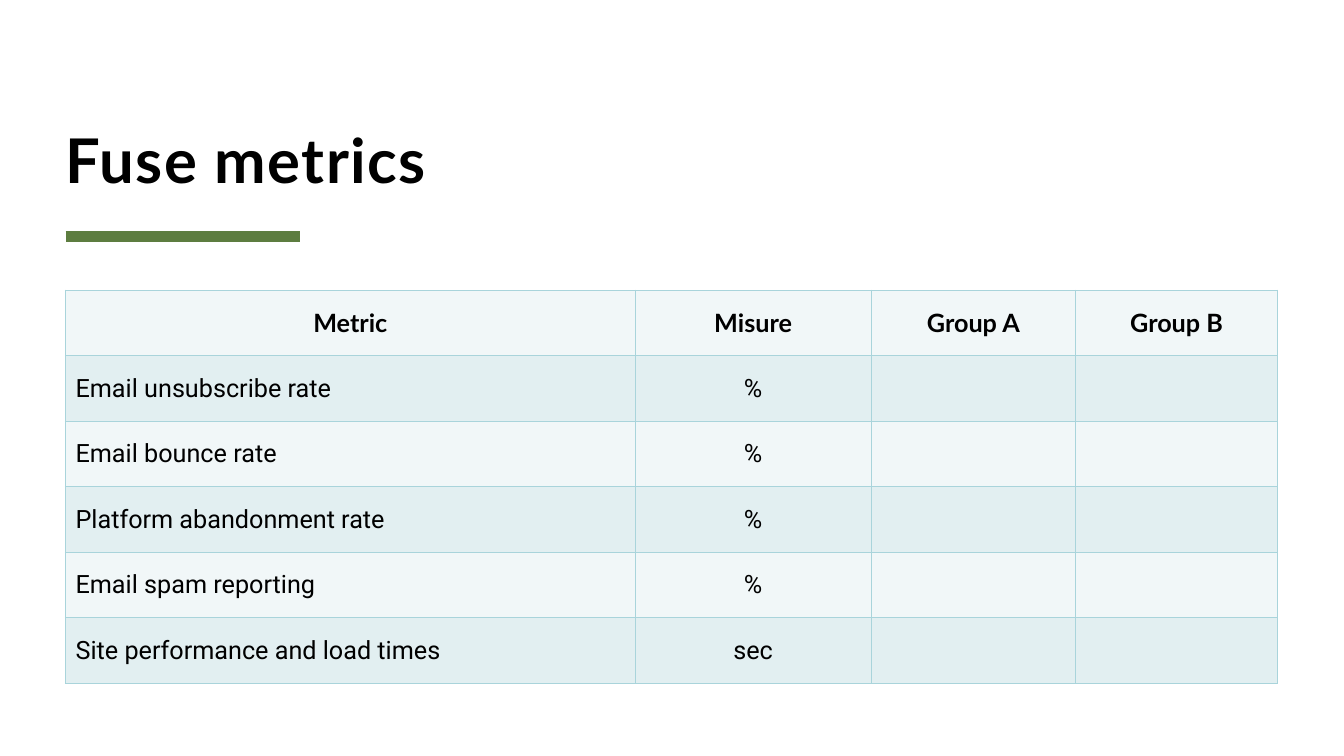
import dataclasses
import typing

import lxml.etree
import pptx
import pptx.dml.color
import pptx.enum.shapes
import pptx.enum.text
import pptx.oxml.ns
import pptx.util

Inches = pptx.util.Inches
Pt = pptx.util.Pt
Align = pptx.enum.text.PP_ALIGN
Anchor = pptx.enum.text.MSO_ANCHOR

HUES = {
    "text": "000000",
    "rule": "5D7D40",
    "edge": "A9D4DB",
    "light": "F1F7F8",
    "dark": "E2EFF1",
}
LEFT = 0.65
ROW = 0.65


@dataclasses.dataclass
class Column:
    head: str
    width: float
    align: Align
    cells: tuple[str, ...]


COLUMNS = [
    Column("Metric", 5.65, Align.LEFT, (
        "Email unsubscribe rate",
        "Email bounce rate",
        "Platform abandonment rate",
        "Email spam reporting",
        "Site performance and load times",
    )),
    Column("Misure", 2.34, Align.CENTER, ("%", "%", "%", "%", "sec")),
    Column("Group A", 2.03, Align.CENTER, ("",) * 5),
    Column("Group B", 2, Align.CENTER, ("",) * 5),
]


def color(name: str) -> pptx.dml.color.RGBColor:
    return pptx.dml.color.RGBColor.from_string(HUES[name])


def add(parent: typing.Any, tag: str, **attrs: str) -> typing.Any:
    return lxml.etree.SubElement(parent, pptx.oxml.ns.qn(tag), attrs)


def write(frame: typing.Any, text: str, *, size: float, face: str,
          bold: bool = False, align: Align = Align.LEFT,
          lines: float = 1, space: float = 0) -> None:
    para = frame.paragraphs[0]
    para.alignment = align
    para.line_spacing = lines
    para.font.size = Pt(size)
    if not text:
        return
    run = para.add_run()
    run.text = text
    font = run.font
    font.size, font.name, font.bold = Pt(size), face, bold
    font.color.rgb = color("text")
    if space:
        run._r.get_or_add_rPr().set("spc", str(round(space * 100)))


def edge(cell: typing.Any) -> None:
    props = cell._tc.get_or_add_tcPr()
    for side in ("L", "R", "T", "B"):
        line = add(props, f"a:ln{side}", w=str(Pt(1)))
        add(add(line, "a:solidFill"), "a:srgbClr", val=HUES["edge"])


def title(slide: typing.Any) -> None:
    shape = slide.shapes.title
    shape.left, shape.top = Inches(LEFT), Inches(0.64)
    shape.width, shape.height = Inches(12), Inches(1.3)
    frame = shape.text_frame
    frame.word_wrap = True
    frame.auto_size = pptx.enum.text.MSO_AUTO_SIZE.NONE
    frame.vertical_anchor = Anchor.BOTTOM
    frame.margin_left = frame.margin_right = 0
    frame.margin_top = frame.margin_bottom = 0
    write(frame, "Fuse metrics", size=44, face="Lato", bold=True,
          lines=0.8, space=1)


def rule(slide: typing.Any) -> None:
    line = slide.shapes.add_connector(
        pptx.enum.shapes.MSO_CONNECTOR.STRAIGHT,
        Inches(LEFT), Inches(2.35), Inches(2.98), Inches(2.35))
    line.line.color.rgb = color("rule")
    line.line.width = Pt(8)
    add(line._element.spPr, "a:effectLst")


def grid(slide: typing.Any) -> None:
    count = len(COLUMNS[0].cells) + 1
    width = sum(col.width for col in COLUMNS)
    table = slide.shapes.add_table(
        count, len(COLUMNS), Inches(LEFT), Inches(2.88),
        Inches(width), Inches(ROW * count)).table
    for row in table.rows:
        row.height = Inches(ROW)
    for x, col in enumerate(COLUMNS):
        table.columns[x].width = Inches(col.width)
        for y, text in enumerate((col.head, *col.cells)):
            head = y == 0
            cell = table.cell(y, x)
            edge(cell)
            cell.fill.solid()
            cell.fill.fore_color.rgb = color("dark" if y % 2 else "light")
            cell.vertical_anchor = Anchor.MIDDLE
            write(cell.text_frame, text, size=18, bold=head,
                  face="Lato" if head else "Roboto",
                  align=Align.CENTER if head else col.align)


def main() -> None:
    deck = pptx.Presentation()
    deck.slide_width, deck.slide_height = Inches(13.33), Inches(7.5)
    # Title Only layout
    slide = deck.slides.add_slide(deck.slide_layouts[5])
    # Heading and its green rule
    rule(slide)
    title(slide)
    # Metrics by group
    grid(slide)
    deck.save("out.pptx")


if __name__ == "__main__":
    main()
